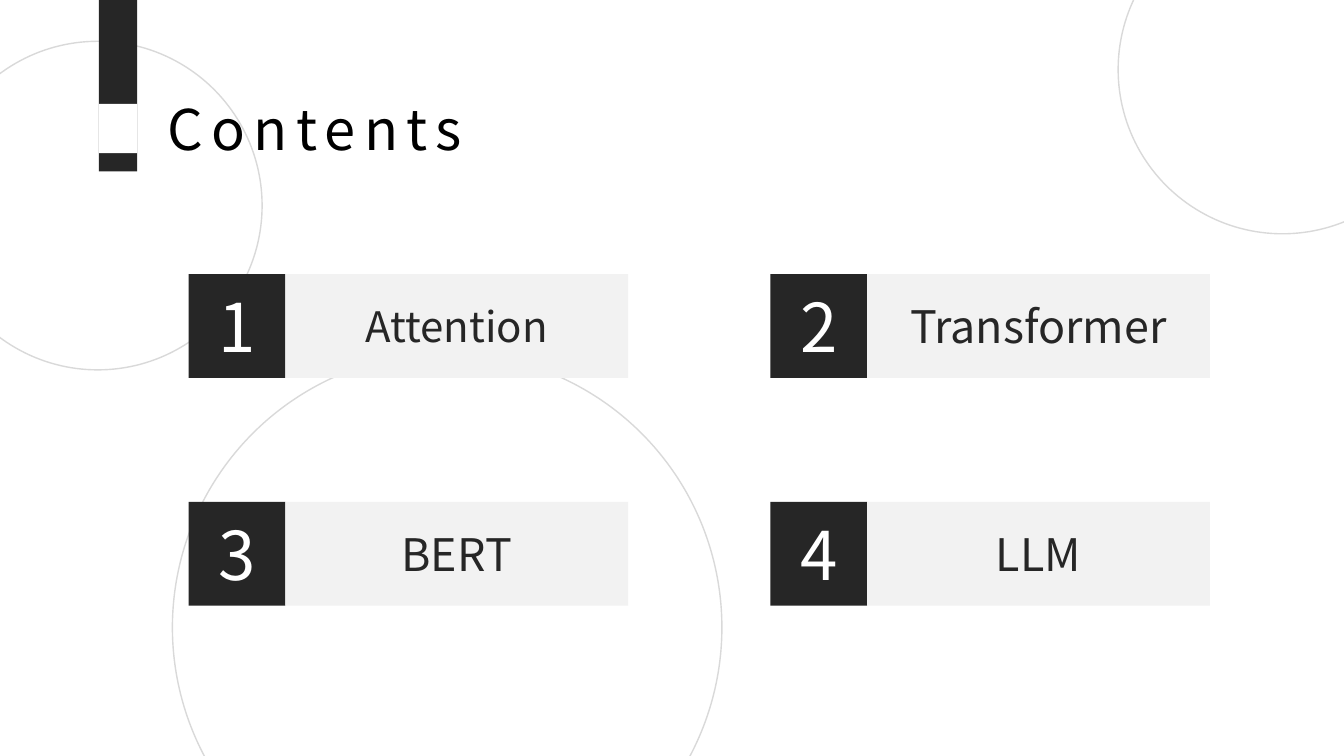
from pptx import Presentation
from pptx.dml.color import RGBColor
from pptx.enum.shapes import MSO_SHAPE
from pptx.enum.text import MSO_ANCHOR, MSO_AUTO_SIZE, PP_ALIGN
from pptx.util import Inches, Pt

RECTANGLE, OVAL = MSO_SHAPE.RECTANGLE, MSO_SHAPE.OVAL
TOP, MIDDLE = MSO_ANCHOR.TOP, MSO_ANCHOR.MIDDLE
LEFT, CENTER = PP_ALIGN.LEFT, PP_ALIGN.CENTER
FIT_SHAPE = MSO_AUTO_SIZE.SHAPE_TO_FIT_TEXT
TITLE_ONLY = 5

TOPICS = [("Attention", 30), ("Transformer", 32), ("BERT", 32), ("LLM", 32)]
CIRCLES = [(-0.66, 0.41, 3.26), (1.71, 3.5, 5.45), (11.09, -0.94, 3.26)]
GRID_LEFT, GRID_TOP = 1.87, 2.72
COLUMN_STEP, ROW_STEP = 5.77, 2.26
NUMBER_WIDTH, TOPIC_WIDTH, ITEM_HEIGHT = 0.96, 3.4, 1.03


def color(hex_string):
    return RGBColor.from_string(hex_string)


class ContentsSlide:
    DARK, LIGHT, WHITE, BLACK, OUTLINE = "262626", "F2F2F2", "FFFFFF", "000000", "D9D9D9"
    TITLE_FONT, BODY_FONT = "Noto Sans CJK SC", "Noto Sans CJK JP"

    def __init__(self, presentation):
        self.slide = presentation.slides.add_slide(presentation.slide_layouts[TITLE_ONLY])

    def style_text(self, paragraph, font_name, size, text_color, alignment):
        paragraph.alignment = alignment
        paragraph.font.name = font_name
        paragraph.font.size = Pt(size)
        paragraph.font.color.rgb = color(text_color)

    def circle(self, left, top, diameter):
        shape = self.slide.shapes.add_shape(
            OVAL, Inches(left), Inches(top), Inches(diameter), Inches(diameter))
        shape.shadow.inherit = False
        shape.fill.background()
        shape.line.color.rgb = color(self.OUTLINE)
        shape.line.width = Pt(1)

    def block(self, left, top, width, height, fill):
        shape = self.slide.shapes.add_shape(
            RECTANGLE, Inches(left), Inches(top), Inches(width), Inches(height))
        shape.shadow.inherit = False
        shape.fill.solid()
        shape.fill.fore_color.rgb = color(fill)
        shape.line.fill.background()
        return shape

    def label(self, left, top, width, fill, text, size, text_color):
        shape = self.block(left, top, width, ITEM_HEIGHT, fill)
        frame = shape.text_frame
        frame.vertical_anchor = MIDDLE
        frame.text = text
        self.style_text(frame.paragraphs[0], self.BODY_FONT, size, text_color, CENTER)

    def item(self, left, top, number, topic, topic_size):
        self.label(left, top, NUMBER_WIDTH, self.DARK, str(number), 48, self.WHITE)
        self.label(left + NUMBER_WIDTH, top, TOPIC_WIDTH, self.LIGHT,
                   topic, topic_size, self.DARK)

    def title(self, text):
        """Fill the title placeholder and bring it in front of the circles."""
        title = self.slide.shapes.title
        title.left, title.top = Inches(1.56), Inches(0.89)
        title.width, title.height = Inches(3.45), Inches(0.77)
        frame = title.text_frame
        frame.text = text
        frame.word_wrap = False
        frame.auto_size = FIT_SHAPE
        frame.vertical_anchor = TOP
        paragraph = frame.paragraphs[0]
        self.style_text(paragraph, self.TITLE_FONT, 40, self.BLACK, LEFT)
        paragraph.runs[0]._r.get_or_add_rPr().set("spc", "600")
        title.element.getparent().append(title.element)


def main():
    presentation = Presentation()
    presentation.slide_width = Inches(13.33)
    presentation.slide_height = Inches(7.5)

    contents = ContentsSlide(presentation)
    for left, top, diameter in CIRCLES:
        contents.circle(left, top, diameter)
    contents.block(0.98, 0, 0.38, 1.7, contents.DARK)
    contents.block(0.98, 1.03, 0.38, 0.49, contents.WHITE)
    contents.title("Contents")

    for index, (topic, size) in enumerate(TOPICS):
        row, column = divmod(index, 2)
        contents.item(GRID_LEFT + column * COLUMN_STEP, GRID_TOP + row * ROW_STEP,
                      index + 1, topic, size)

    presentation.save("out.pptx")


if __name__ == "__main__":
    main()
